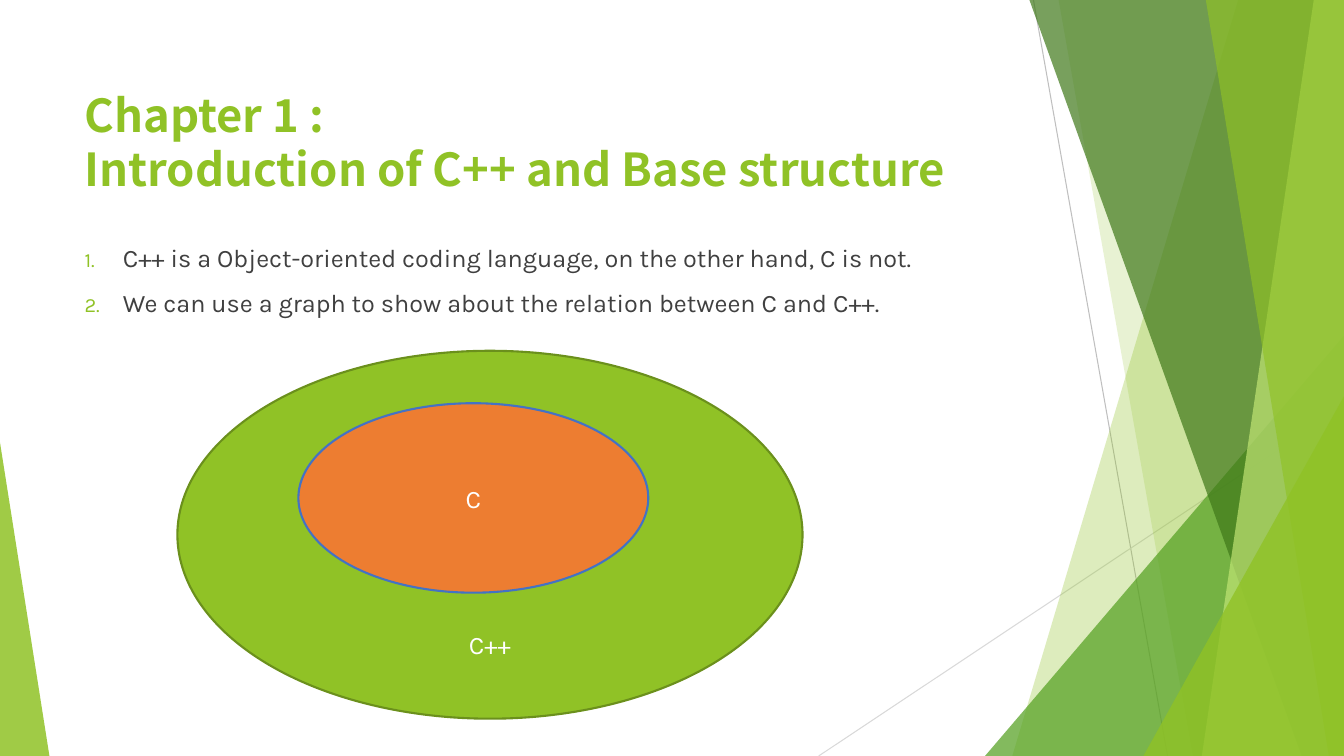
from lxml import etree
from pptx import Presentation
from pptx.dml.color import RGBColor
from pptx.enum import shapes, text
from pptx.oxml.ns import qn
from pptx.util import Inches, Pt

WIDTH, HEIGHT = 13.33, 7.5
GREEN, DARK, WHITE = "90C226", "404040", "FFFFFF"
BODY_FONT, TITLE_FONT = "Karla", "Noto Sans CJK TC"

TITLE = "Chapter 1 :\vIntroduction of C++ and Base structure"
POINTS = [
    "C++ is a Object-oriented coding language, on the other hand, C is not.",
    "We can use a graph to show about the relation between C and C++.",
]
# start, end, colour
RAYS = [((10.25, 0), (11.58, HEIGHT), "BFBFBF"), ((WIDTH, 4.03), (8.12, HEIGHT), "D9D9D9")]
# Bands reach the right edge: ("band", top x, bottom x, colour, opacity %)
# Wedges stand on the bottom edge: ("wedge", left, top, width, apex, colour, opacity %)
FACETS = [
    ("band", 12.28, 10.04, GREEN, 30),
    ("band", 10.5, 11.83, GREEN, 20),
    ("wedge", 9.77, 3.33, 3.56, 1, "54A021", 72),
    ("band", 10.21, 12.91, "3F7819", 70),
    ("band", 13.03, 11.92, "C0E474", 70),
    ("band", 11.96, 13.18, GREEN, 65),
    ("wedge", 11.34, 3.93, 1.99, 1, GREEN, 80),
    ("wedge", 0, 4.39, 0.49, 0, GREEN, 85),
]
# label, box, fill, outline, text anchor
SETS = [
    ("C++", (1.76, 3.48, 6.2, 3.65), GREEN, "6B901C", text.MSO_ANCHOR.BOTTOM),
    ("C", (2.96, 4, 3.47, 1.88), "ED7D31", "4472C4", text.MSO_ANCHOR.MIDDLE),
]


def rgb(value):
    return RGBColor.from_string(value)


def set_all(target, **values):
    for name, value in values.items():
        setattr(target, name, value)


def paint(shape, color, opacity=100):
    shape.shadow.inherit = False
    shape.fill.solid()
    shape.fill.fore_color.rgb = rgb(color)
    if opacity < 100:
        choice = shape.fill._xPr.find(qn("a:solidFill"))[0]
        etree.SubElement(choice, qn("a:alpha"), val=str(opacity * 1000))


def write(paragraph, words, size, color, font, bold=False):
    """Fill a paragraph and format its whole text."""
    paragraph.text = words
    for run in paragraph.runs:
        set_all(run.font, size=Pt(size), name=font, bold=bold)
        run.font.color.rgb = rgb(color)


def add_ray(slide, start, end, color):
    ray = slide.shapes.add_connector(
        shapes.MSO_CONNECTOR.STRAIGHT, *map(Inches, start + end))
    ray.line.color.rgb = rgb(color)
    ray.line.width = Pt(0.75)
    etree.SubElement(ray._element.spPr, qn("a:effectLst"))


def add_band(slide, top_x, bottom_x, color, opacity):
    builder = slide.shapes.build_freeform(Inches(top_x), 0)
    corners = [(WIDTH, 0), (WIDTH, HEIGHT), (bottom_x, HEIGHT)]
    builder.add_line_segments([(Inches(x), Inches(y)) for x, y in corners], close=True)
    band = builder.convert_to_shape()
    paint(band, color, opacity)
    band.line.fill.background()


def add_wedge(slide, left, top, width, apex, color, opacity):
    wedge = slide.shapes.add_shape(
        shapes.MSO_SHAPE.ISOSCELES_TRIANGLE,
        *map(Inches, (left, top, width, HEIGHT - top)))
    wedge.adjustments[0] = apex
    paint(wedge, color, opacity)
    wedge.line.fill.background()


def add_text_frame(slide, *box):
    frame = slide.shapes.add_textbox(*map(Inches, box)).text_frame
    frame.word_wrap = True
    return frame


def number(paragraph):
    """Give a paragraph a hanging green number."""
    properties = paragraph._p.get_or_add_pPr()
    indent = Inches(0.38)
    properties.set("marL", str(indent))
    properties.set("indent", str(-indent))
    color = etree.SubElement(properties, qn("a:buClr"))
    etree.SubElement(color, qn("a:srgbClr"), val=GREEN)
    etree.SubElement(properties, qn("a:buSzPct"), val="80000")
    etree.SubElement(properties, qn("a:buFont"), typeface=BODY_FONT)
    etree.SubElement(properties, qn("a:buAutoNum"), type="arabicPeriod")


def add_set(slide, label, box, fill, outline, anchor):
    ellipse = slide.shapes.add_shape(shapes.MSO_SHAPE.OVAL, *map(Inches, box))
    paint(ellipse, fill)
    ellipse.line.color.rgb = rgb(outline)
    ellipse.line.width = Pt(1.5)
    ellipse.text_frame.vertical_anchor = anchor
    paragraph = ellipse.text_frame.paragraphs[0]
    paragraph.alignment = text.PP_ALIGN.CENTER
    write(paragraph, label, 18, WHITE, BODY_FONT)


def main():
    presentation = Presentation()
    set_all(presentation, slide_width=Inches(WIDTH), slide_height=Inches(HEIGHT))
    slide = presentation.slides.add_slide(presentation.slide_layouts[6])

    for ray in RAYS:
        add_ray(slide, *ray)
    draw = {"band": add_band, "wedge": add_wedge}
    for kind, *facet in FACETS:
        draw[kind](slide, *facet)

    title = add_text_frame(slide, 0.74, 0.76, 9.4, 1.19)
    title.margin_top = Inches(0.1)
    title.paragraphs[0].line_spacing = Pt(39)
    write(title.paragraphs[0], TITLE, 32.4, GREEN, TITLE_FONT, bold=True)

    body = add_text_frame(slide, 0.74, 2.36, 9.4, 4.24)
    for index, point in enumerate(POINTS):
        paragraph = body.add_paragraph() if index else body.paragraphs[0]
        paragraph.space_before = Pt(10)
        number(paragraph)
        write(paragraph, point, 18, DARK, BODY_FONT)

    for language in SETS:
        add_set(slide, *language)
    presentation.save("out.pptx")


if __name__ == "__main__":
    main()
